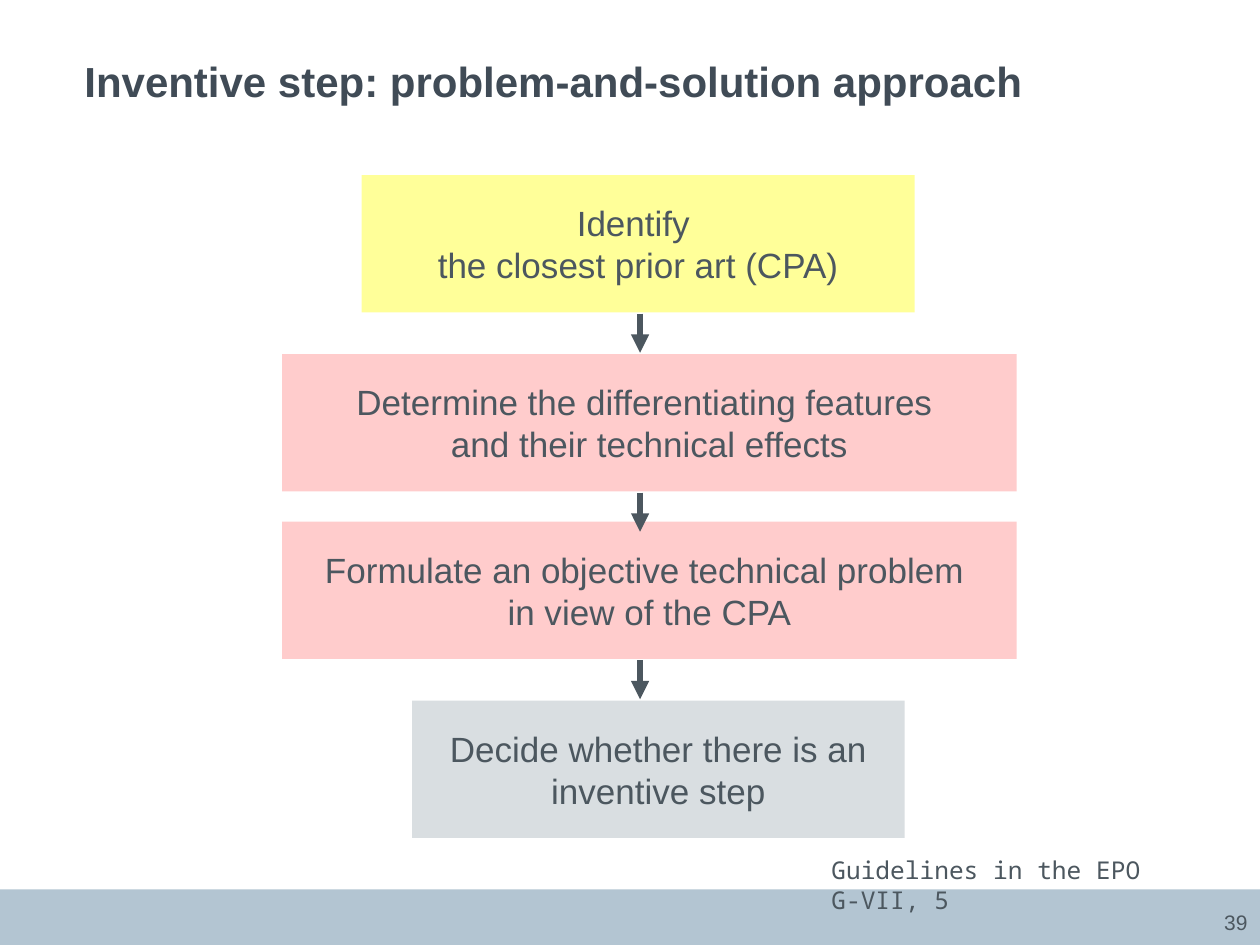
from dataclasses import dataclass

from lxml.etree import SubElement
from pptx import Presentation
from pptx.dml.color import RGBColor
from pptx.enum.shapes import MSO_CONNECTOR, MSO_SHAPE
from pptx.enum.text import MSO_ANCHOR, PP_ALIGN
from pptx.oxml.ns import qn
from pptx.shapes.autoshape import Shape
from pptx.slide import Slide
from pptx.util import Inches, Pt

INK = "4C575F"
STEP_HEIGHT = 1.09
ARROW_X = 5.08
ARROW_LENGTH = 0.31


@dataclass
class Step:
    left: float
    top: float
    width: float
    color: str
    lines: list[str]


STEPS = [
    Step(2.87, 1.39, 4.39, "FFFF99", ["Identify ", "the closest prior art (CPA)"]),
    Step(2.24, 2.81, 5.83, "FFCCCC",
         ["Determine the differentiating features ", "and their technical effects"]),
    Step(2.24, 4.14, 5.83, "FFCCCC",
         ["Formulate an objective technical problem ", "in view of the CPA"]),
    Step(3.27, 5.56, 3.91, "D9DEE1", ["Decide whether there is an inventive step"]),
]


def rgb(color: str) -> RGBColor:
    return RGBColor.from_string(color)


def write(shape: Shape, lines: list[str], *, size: float, color: str = INK,
          font: str = "Arial", bold: bool = False, align: PP_ALIGN = PP_ALIGN.LEFT,
          anchor: MSO_ANCHOR = MSO_ANCHOR.TOP, inset: float | None = None) -> None:
    frame = shape.text_frame
    frame.word_wrap = True
    frame.vertical_anchor = anchor
    if inset is not None:
        frame.margin_left = frame.margin_right = Inches(inset)
        frame.margin_top = frame.margin_bottom = Inches(inset)
    para = frame.paragraphs[0]
    para.alignment = align
    for index, line in enumerate(lines):
        if index:
            para.add_line_break()
        span = para.add_run()
        span.text = line
        span.font.name = font
        span.font.size = Pt(size)
        span.font.bold = bold
        span.font.color.rgb = rgb(color)


def add_text(page: Slide, left: float, top: float, width: float, height: float,
             text: str, **style) -> None:
    box = page.shapes.add_textbox(Inches(left), Inches(top), Inches(width), Inches(height))
    write(box, [text], **style)


def add_box(page: Slide, left: float, top: float, width: float, height: float,
            color: str) -> Shape:
    box = page.shapes.add_shape(MSO_SHAPE.RECTANGLE, Inches(left), Inches(top),
                                Inches(width), Inches(height))
    box.shadow.inherit = False
    box.fill.solid()
    box.fill.fore_color.rgb = rgb(color)
    box.line.fill.background()
    return box


def add_step(page: Slide, step: Step) -> None:
    box = add_box(page, step.left, step.top, step.width, STEP_HEIGHT, step.color)
    write(box, step.lines, size=20, align=PP_ALIGN.CENTER, anchor=MSO_ANCHOR.MIDDLE)


def add_arrow_below(page: Slide, step: Step) -> None:
    top = step.top + STEP_HEIGHT + 0.01
    arrow = page.shapes.add_connector(MSO_CONNECTOR.STRAIGHT, Inches(ARROW_X), Inches(top),
                                      Inches(ARROW_X), Inches(top + ARROW_LENGTH))
    arrow.line.color.rgb = rgb(INK)
    arrow.line.width = Pt(3.5)
    SubElement(arrow.line._get_or_add_ln(), qn("a:tailEnd"), type="triangle")
    SubElement(arrow._element.spPr, qn("a:effectLst"))


def main() -> None:
    """Build the problem-and-solution flow slide."""
    deck = Presentation()
    deck.slide_width, deck.slide_height = Inches(10), Inches(7.5)
    page = deck.slides.add_slide(deck.slide_layouts[6])

    add_box(page, 0, 7.06, 10, 0.44, "B3C5D2")
    add_text(page, 0.67, 0.44, 8.66, 1.02, "Inventive step: problem-and-solution approach",
             size=24, color="404B56", bold=True, inset=0)
    add_text(page, 9.17, 7.2, 0.83, 0.24, "39", size=12,
             align=PP_ALIGN.RIGHT, anchor=MSO_ANCHOR.MIDDLE)
    for step in STEPS:
        add_step(page, step)
    for step in STEPS[:-1]:
        add_arrow_below(page, step)
    add_text(page, 6.5, 6.74, 2.83, 0.33, "Guidelines in the EPO G-VII, 5",
             size=14, font="Noto Sans Mono")

    deck.save("out.pptx")


if __name__ == "__main__":
    main()
